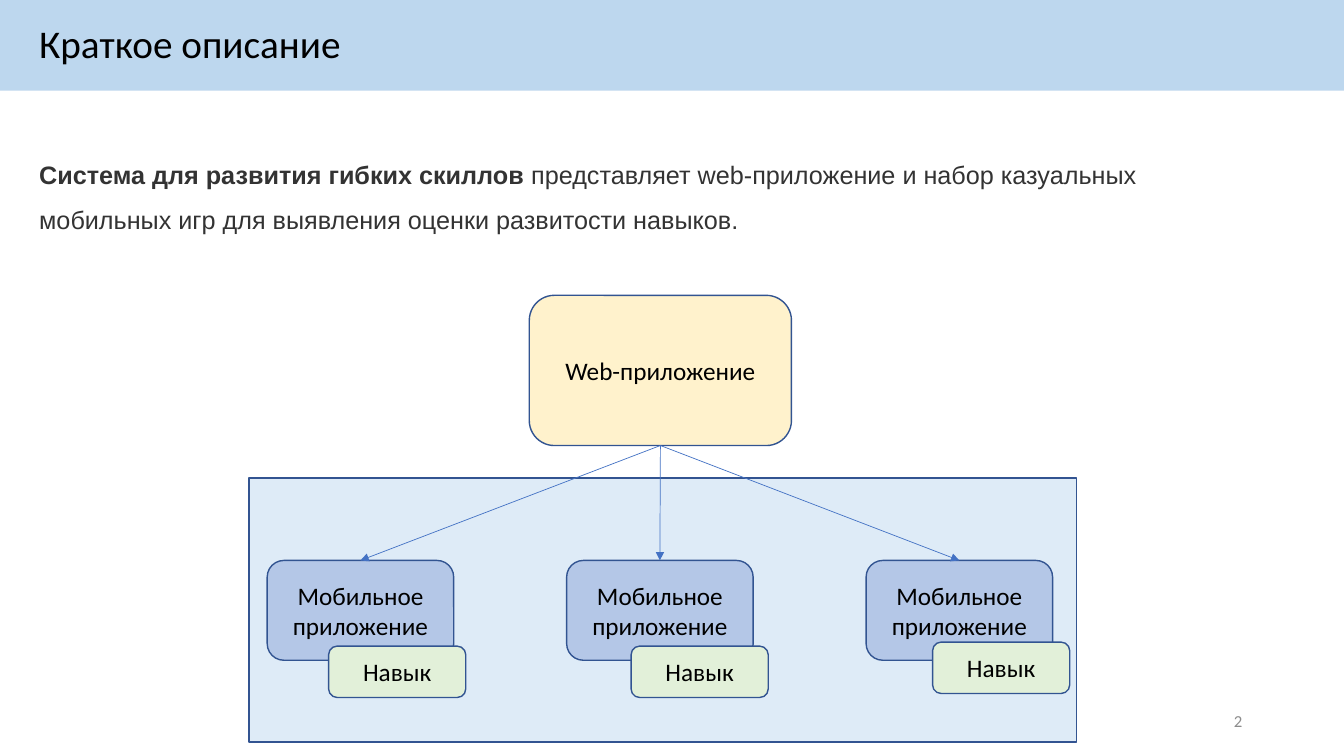
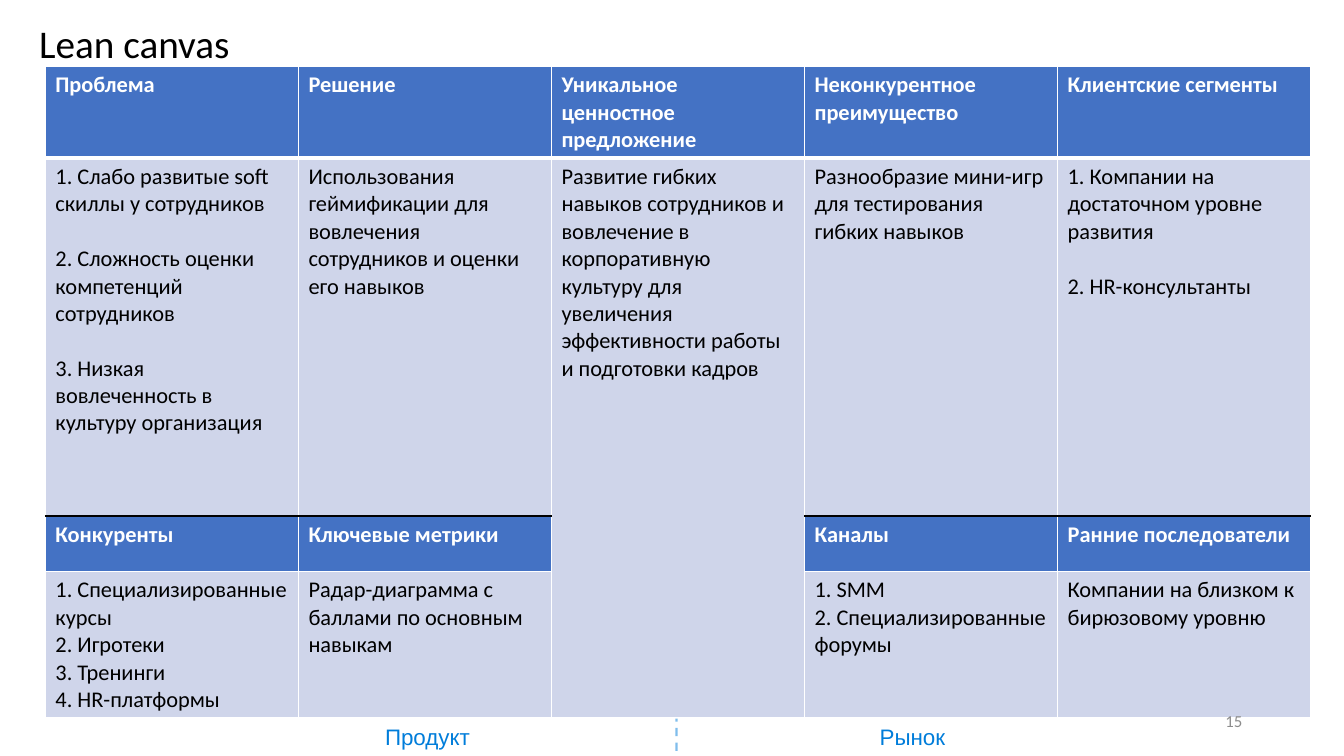
from lxml import etree
from pptx import Presentation
from pptx.dml.color import RGBColor
from pptx.enum.dml import MSO_LINE
from pptx.enum.shapes import MSO_CONNECTOR, MSO_SHAPE
from pptx.enum.text import MSO_ANCHOR, PP_ALIGN
from pptx.oxml.ns import qn
from pptx.util import Inches, Pt

RECT, ROUNDED = MSO_SHAPE.RECTANGLE, MSO_SHAPE.ROUNDED_RECTANGLE
LEFT, CENTER, RIGHT = PP_ALIGN.LEFT, PP_ALIGN.CENTER, PP_ALIGN.RIGHT
TOP, MIDDLE = MSO_ANCHOR.TOP, MSO_ANCHOR.MIDDLE
STRAIGHT, DASH = MSO_CONNECTOR.STRAIGHT, MSO_LINE.DASH
TOP_SITE, BOTTOM_SITE = 0, 2

BLACK, WHITE, GRAY, DARK = "000000", "FFFFFF", "8C8C8C", "333333"
BLUE, OUTLINE, BRIGHT = "4472C4", "325491", "007DDA"
BAND, PANEL, CELL = "BDD7EE", "DEEBF7", "CFD5EA"
YELLOW, LAVENDER, GREEN = "FFF2CC", "B4C7E7", "E2F0D9"


def rgb(value):
    return RGBColor.from_string(value)


def format_runs(paragraph, size, color, font="Calibri", bold=False):
    for run in paragraph.runs:
        run.font.size = Pt(size)
        run.font.name = font
        run.font.bold = bold
        run.font.color.rgb = rgb(color)


def set_border(cell, side, color, width):
    """Draw one cell border; side is L, R, T or B."""
    line = etree.SubElement(cell._tc.get_or_add_tcPr(), qn(f"a:ln{side}"), w=str(Pt(width)))
    fill = etree.SubElement(line, qn("a:solidFill"))
    etree.SubElement(fill, qn("a:srgbClr"), val=color)


class Deck:
    def __init__(self):
        self.presentation = Presentation()
        self.presentation.slide_width = Inches(13.33)
        self.presentation.slide_height = Inches(7.5)
        self.slide = None

    def add_slide(self):
        self.slide = self.presentation.slides.add_slide(self.presentation.slide_layouts[6])

    def title(self, text):
        self.text(text, 0.29, 0.14, 6.41, 0.63, size=28)

    def page_number(self, number):
        self.text(str(number), 9.42, 6.95, 3, 0.4, size=12, color=GRAY, align=RIGHT, anchor=MIDDLE)

    def text(self, text, left, top, width, height, size, color=BLACK, font="Calibri",
             bold=False, align=LEFT, anchor=TOP, wrap=True):
        box = self.slide.shapes.add_textbox(*map(Inches, (left, top, width, height)))
        frame = box.text_frame
        frame.word_wrap = wrap
        frame.vertical_anchor = anchor
        frame.text = text
        paragraph = frame.paragraphs[0]
        paragraph.alignment = align
        format_runs(paragraph, size, color, font, bold)
        return paragraph

    def box(self, kind, left, top, width, height, fill, outline=None, text=""):
        shape = self.slide.shapes.add_shape(kind, *map(Inches, (left, top, width, height)))
        shape.shadow.inherit = False
        shape.fill.solid()
        shape.fill.fore_color.rgb = rgb(fill)
        if outline:
            shape.line.color.rgb = rgb(outline)
            shape.line.width = Pt(1)
        else:
            shape.line.fill.background()
        if text:
            frame = shape.text_frame
            frame.text = text
            frame.vertical_anchor = MIDDLE
            frame.paragraphs[0].alignment = CENTER
            format_runs(frame.paragraphs[0], 18, BLACK)
        return shape

    def line(self, color, width, start=(0, 0), end=(0, 0)):
        line = self.slide.shapes.add_connector(STRAIGHT, *map(Inches, (*start, *end)))
        line.line.color.rgb = rgb(color)
        line.line.width = Pt(width)
        etree.SubElement(line._element.spPr, qn("a:effectLst"))
        return line

    def arrow(self, source, target):
        """Join the bottom of source to the top of target."""
        arrow = self.line(BLUE, 0.5)
        arrow.begin_connect(source, BOTTOM_SITE)
        arrow.end_connect(target, TOP_SITE)
        etree.SubElement(arrow.line._get_or_add_ln(), qn("a:tailEnd"), type="triangle")

    def divider(self, start, end):
        divider = self.line(BRIGHT, 1.5, start, end)
        divider.line.dash_style = DASH
        color = divider._element.spPr.find(".//" + qn("a:srgbClr"))
        etree.SubElement(color, qn("a:alpha"), val="50000")

    def canvas(self, rows, heights, left, top, column_width):
        """Table of alternating header and body rows; the middle column spans all rows below the first."""
        columns = len(rows[0])
        middle = columns // 2
        frame = self.slide.shapes.add_table(
            len(rows), columns, Inches(left), Inches(top),
            Inches(column_width * columns), Inches(sum(heights)))
        table = frame.table
        table.horz_banding = False
        for column in table.columns:
            column.width = Inches(column_width)
        for r, texts in enumerate(rows):
            table.rows[r].height = Inches(heights[r])
            for c, text in enumerate(texts):
                spanned = c == middle and r > 0
                is_header = r % 2 == 0 and not spanned
                cell = table.cell(r, c)
                self.canvas_cell(cell, text, is_header, gap=19.5 if r == 1 else 0)
                borders = dict.fromkeys("LRTB", (WHITE, 1))
                if r == 0:
                    borders["B"] = (WHITE, 3)
                elif r == 1:
                    borders["T"] = (WHITE, 3)
                if not spanned and r in (1, 2):
                    borders["B" if r == 1 else "T"] = (BLACK, 1)
                for side, (color, width) in borders.items():
                    set_border(cell, side, color, width)
                cell.fill.solid()
                cell.fill.fore_color.rgb = rgb(BLUE if is_header else CELL)
        table.cell(1, middle).merge(table.cell(len(rows) - 1, middle))

    def canvas_cell(self, cell, text, is_header, gap):
        cell.text_frame.text = text
        for index, paragraph in enumerate(cell.text_frame.paragraphs):
            if index and gap:
                paragraph.space_before = Pt(gap)
            format_runs(paragraph, 16, WHITE if is_header else BLACK, bold=is_header)


def overview_slide(deck):
    deck.add_slide()
    deck.box(RECT, 2.47, 4.74, 8.21, 2.62, PANEL, OUTLINE)
    deck.box(RECT, 0, 0, 13.33, 0.9, BAND)
    deck.title("Краткое описание")
    summary = deck.text("Система для развития гибких скиллов ", 0.29, 1.38, 11.35, 0.96,
                        size=18, color=DARK, font="Arial", bold=True)
    summary.line_spacing = 1.5
    description = summary.add_run()
    description.text = ("представляет web-приложение и набор казуальных "
                        "мобильных игр для выявления оценки развитости навыков.")
    format_runs(summary, 18, DARK, "Arial")
    summary.runs[0].font.bold = True

    web_app = deck.box(ROUNDED, 5.25, 2.93, 2.6, 1.49, YELLOW, OUTLINE, "Web-приложение")
    mobile_apps = [deck.box(ROUNDED, 2.65 + 2.97 * i, 5.56, 1.85, 0.99, LAVENDER, OUTLINE,
                            "Мобильное приложение") for i in range(3)]
    for left, top in ((3.26, 6.41), (6.26, 6.41), (9.25, 6.37)):
        deck.box(ROUNDED, left, top, 1.36, 0.51, GREEN, OUTLINE, "Навык")
    for mobile_app in mobile_apps:
        deck.arrow(web_app, mobile_app)
    deck.page_number(2)


def lean_canvas_slide(deck):
    deck.add_slide()
    deck.title("Lean canvas")
    rows = [
        ["Проблема", "Решение", "Уникальное ценностное предложение",
         "Неконкурентное преимущество", "Клиентские сегменты"],
        ["1. Слабо развитые soft скиллы у сотрудников\n"
         "2. Сложность оценки компетенций сотрудников\n"
         "3. Низкая вовлеченность в культуру организация",
         "Использования геймификации для вовлечения сотрудников и оценки его навыков",
         "Развитие гибких навыков сотрудников и вовлечение в корпоративную культуру "
         "для увеличения эффективности работы и подготовки кадров",
         "Разнообразие мини-игр для тестирования гибких навыков",
         "1. Компании на достаточном уровне развития\n2. HR-консультанты"],
        ["Конкуренты", "Ключевые метрики", "", "Каналы", "Ранние последователи"],
        ["1. Специализированные курсы\n2. Игротеки\n3. Тренинги\n4. HR-платформы",
         "Радар-диаграмма с баллами по основным навыкам", "",
         "1. SMM\n2. Специализированные форумы",
         "Компании на близком к бирюзовому уровню"],
    ]
    deck.canvas(rows, heights=(0.91, 3.55, 0.55, 1.45), left=0.45, top=0.66, column_width=2.51)
    for side, left, width in (("Продукт", 3.71, 1.06), ("Рынок", 8.62, 0.86)):
        deck.text(side, left, 7.13, width, 0.37, size=16, color=BRIGHT, font="Arial",
                  align=CENTER, wrap=False)
    deck.divider((6.71, 7.45), (6.71, 7.13))
    deck.page_number(15)


def main():
    deck = Deck()
    overview_slide(deck)
    lean_canvas_slide(deck)
    deck.presentation.save("out.pptx")


if __name__ == "__main__":
    main()
